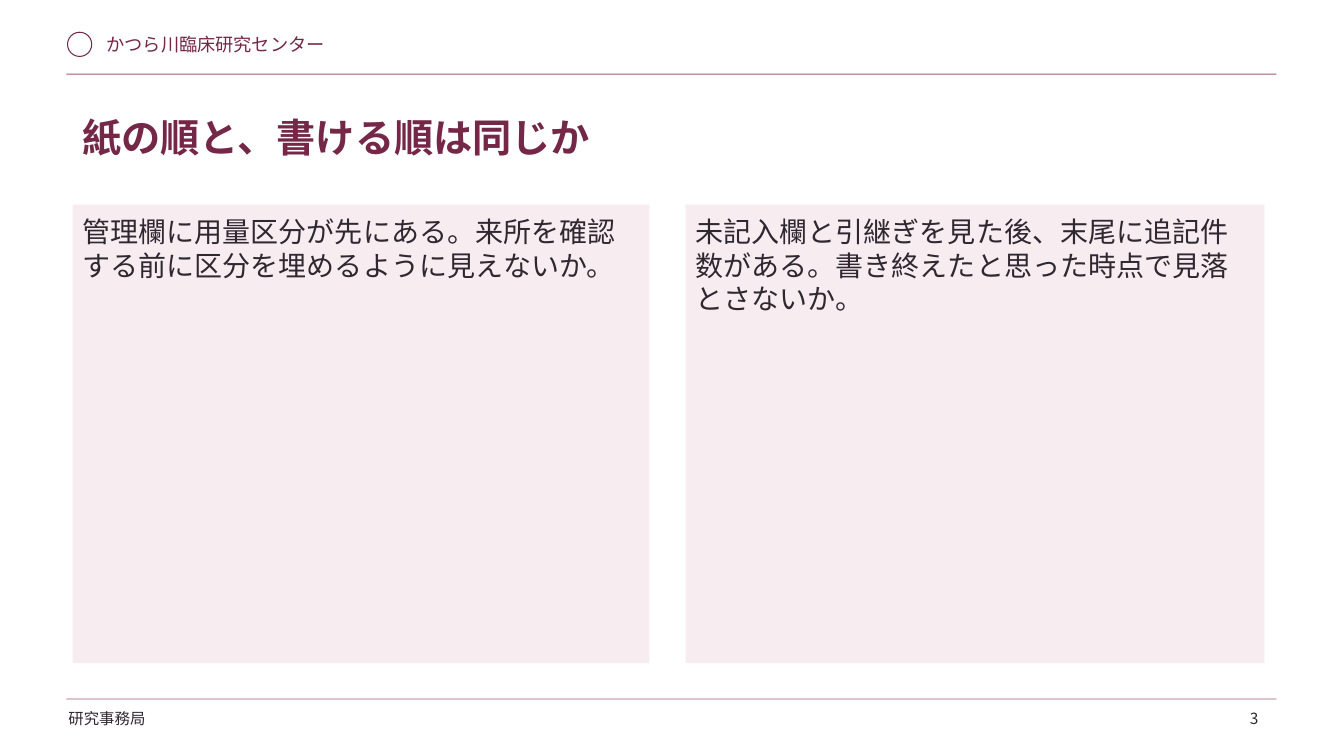
from dataclasses import dataclass

from lxml.etree import SubElement
from pptx import Presentation
from pptx.dml.color import RGBColor as Color
from pptx.enum.shapes import MSO_SHAPE as Kind
from pptx.enum.text import MSO_ANCHOR as Anchor, PP_ALIGN as Align
from pptx.oxml.ns import qn
from pptx.slide import Slide
from pptx.text.text import TextFrame
from pptx.util import Inches, Pt

FONT = "Noto Sans CJK JP"
PLUM, ROSE, INK, BLUSH = "742747", "AB586C", "302830", "F7EDF1"


@dataclass
class Text:
    words: str
    size: int
    color: str = INK
    bold: bool = False
    align: Align = Align.LEFT
    inset: float = 0.05


@dataclass
class Box:
    left: float
    top: float
    width: float
    height: float

    def span(self) -> list[Inches]:
        return [Inches(n) for n in (self.left, self.top, self.width, self.height)]


@dataclass
class Label:
    box: Box
    text: Text


@dataclass
class Panel:
    left: float
    width: float
    words: str


def tint(code: str) -> Color:
    return Color.from_string(code)


def write(frame: TextFrame, text: Text) -> None:
    frame.word_wrap = True
    frame.vertical_anchor = Anchor.TOP
    frame.margin_left = frame.margin_right = Inches(0.1)
    frame.margin_top = frame.margin_bottom = Inches(text.inset)
    para = frame.paragraphs[0]
    para.text = text.words
    para.alignment = text.align
    font = para.font
    font.size = Pt(text.size)
    font.bold = text.bold
    font.color.rgb = tint(text.color)
    font.name = FONT
    props = para._p.pPr.find(qn("a:defRPr"))
    SubElement(props, qn("a:ea")).set("typeface", FONT)


def label(slide: Slide, item: Label) -> None:
    write(slide.shapes.add_textbox(*item.box.span()).text_frame, item.text)


def block(slide: Slide, box: Box, color: str) -> TextFrame:
    shape = slide.shapes.add_shape(Kind.RECTANGLE, *box.span())
    shape.shadow.inherit = False
    shape.fill.solid()
    shape.fill.fore_color.rgb = tint(color)
    shape.line.fill.background()
    return shape.text_frame


def ring(slide: Slide, box: Box) -> None:
    shape = slide.shapes.add_shape(Kind.OVAL, *box.span())
    shape.shadow.inherit = False
    shape.fill.background()
    shape.line.color.rgb = tint(PLUM)
    shape.line.width = Pt(0.75)


LABELS = [
    Label(Box(0.96, 0.28, 3.3, 0.35), Text("かつら川臨床研究センター", 13, PLUM)),
    Label(Box(0.58, 6.99, 1.8, 0.36), Text("研究事務局", 11)),
    Label(Box(0.72, 1.02, 11.9, 0.81),
          Text("紙の順と、書ける順は同じか", 28, PLUM, bold=True, inset=0.1)),
    Label(Box(12.08, 6.99, 0.5, 0.3), Text("3", 11, align=Align.RIGHT)),
]
PANELS = [
    Panel(0.72, 5.72, "管理欄に用量区分が先にある。来所を確認する前に区分を埋めるように見えないか。"),
    Panel(6.8, 5.74, "未記入欄と引継ぎを見た後、末尾に追記件数がある。"
                     "書き終えたと思った時点で見落とさないか。"),
]


def main() -> None:
    deck = Presentation()
    deck.slide_width, deck.slide_height = Inches(13.33), Inches(7.5)
    slide = deck.slides.add_slide(deck.slide_layouts[6])
    ring(slide, Box(0.67, 0.32, 0.24, 0.24))
    for top in (0.73, 6.93):
        block(slide, Box(0.66, top, 12, 0.01), ROSE)
    for panel in PANELS:
        frame = block(slide, Box(panel.left, 2.03, panel.width, 4.55), BLUSH)
        write(frame, Text(panel.words, 20, inset=0.1))
    for item in LABELS:
        label(slide, item)
    deck.save("out.pptx")


if __name__ == "__main__":
    main()
